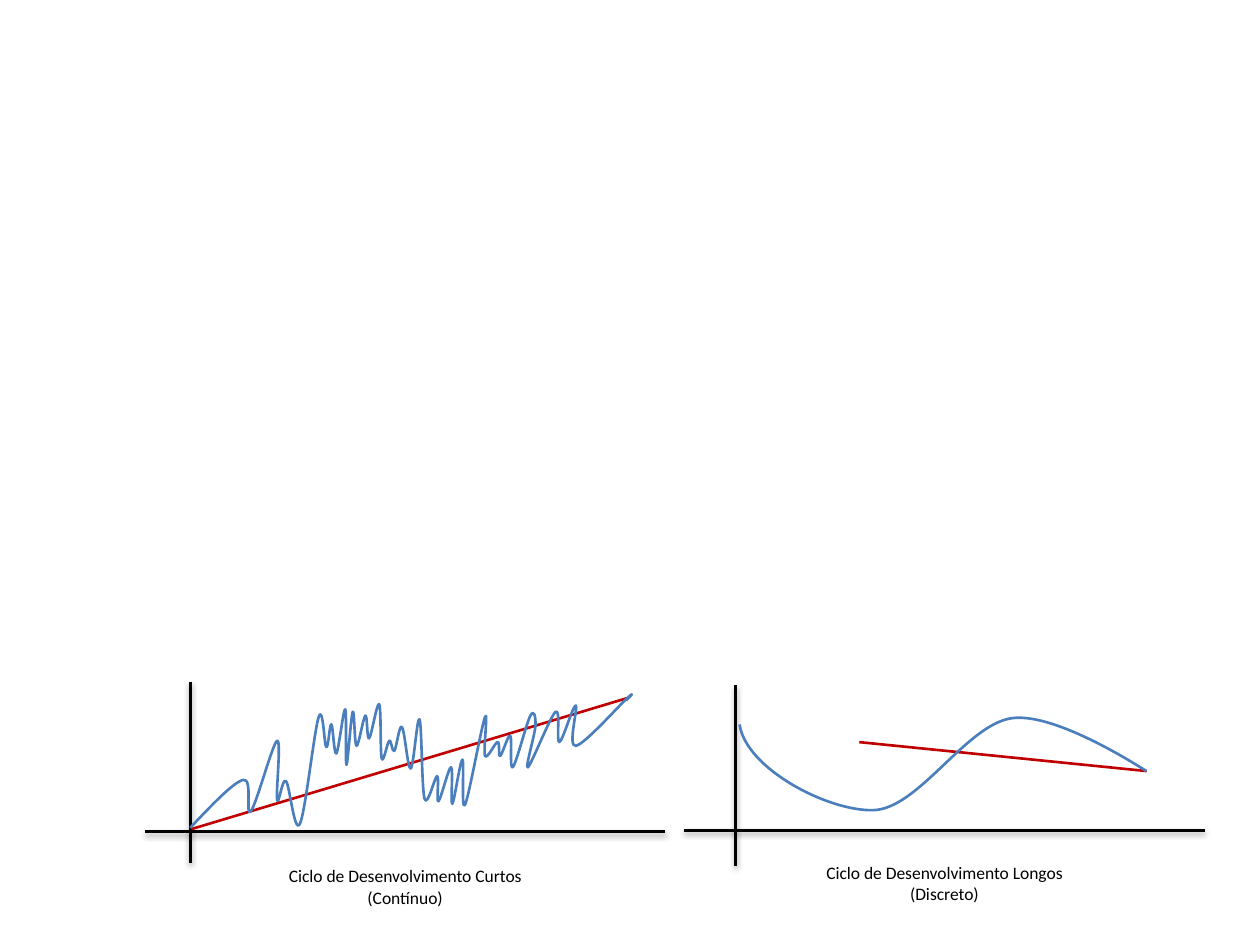
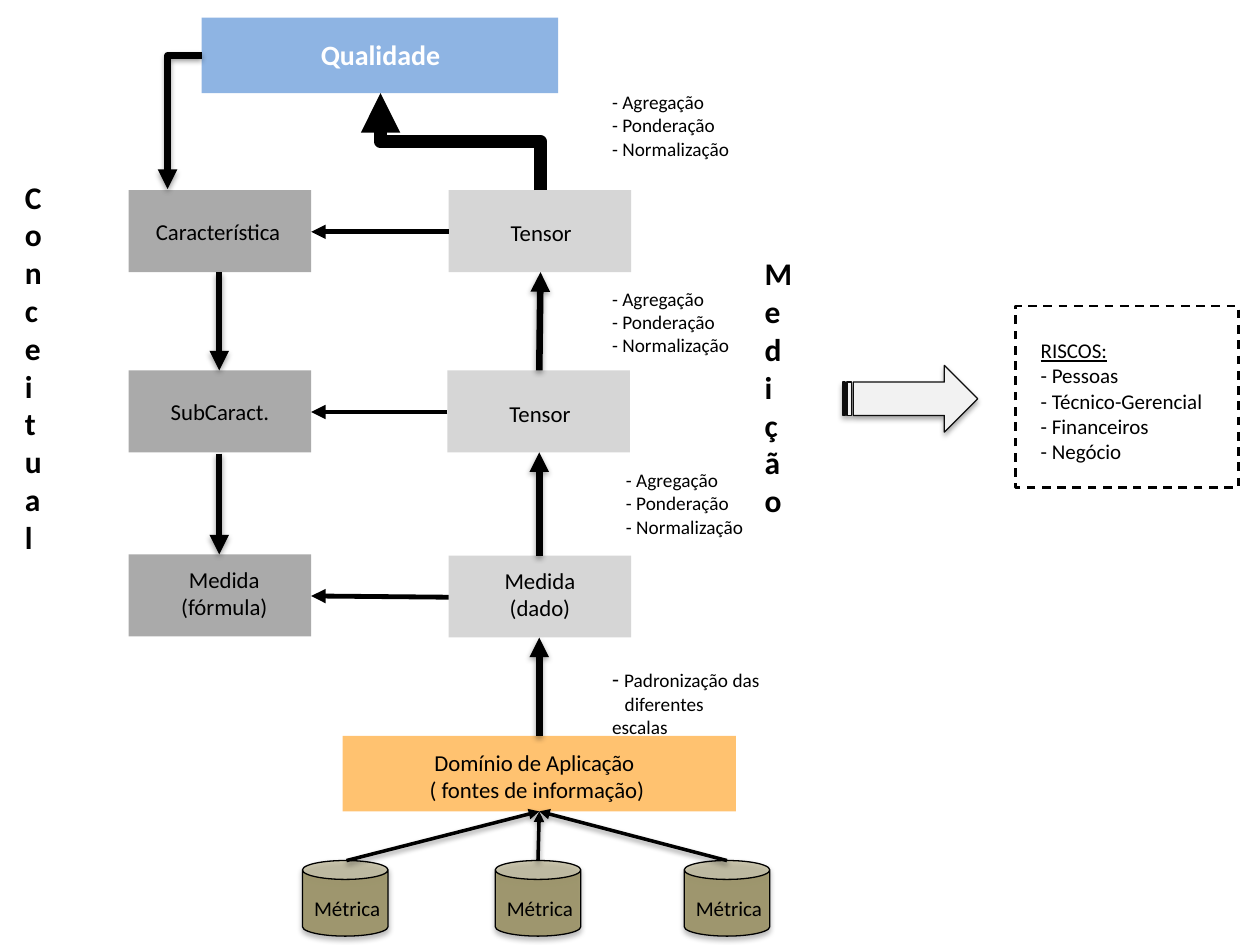
from lxml import etree
from pptx import Presentation
from pptx.dml.color import RGBColor
from pptx.enum.dml import MSO_LINE
from pptx.enum.shapes import MSO_CONNECTOR, MSO_SHAPE
from pptx.enum.text import MSO_ANCHOR, MSO_AUTO_SIZE, PP_ALIGN
from pptx.oxml.ns import qn
from pptx.util import Pt

SCALE = 9144  # EMU per px, 100 px to the inch
FONT = "Calibri"
LEFT, CENTER = PP_ALIGN.LEFT, PP_ALIGN.CENTER
STRAIGHT, ELBOW = MSO_CONNECTOR.STRAIGHT, MSO_CONNECTOR.ELBOW
RECTANGLE, CAN, STRIPED = MSO_SHAPE.RECTANGLE, MSO_SHAPE.CAN, MSO_SHAPE.STRIPED_RIGHT_ARROW
COLORS = {
    "black": "000000",
    "white": "FFFFFF",
    "trend": "C00000",
    "curve": "4B7EBC",
    "quality": "8EB4E3",
    "concept": "AAAAAA",
    "measure": "D6D6D6",
    "domain": "FF9300",
    "metric": "948A54",
    "arrow": "F2F2F2",
    "arrow_edge": "0D0D0D",
}
# Shadow: distance in EMU and opacity in thousandths of a percent
LINE_SHADOW = (20000, 38000)
SHAPE_SHADOW = (23000, 35000)


def add_text(page, area, lines, size, align=LEFT, color="black", bold=False, wrap=False, box=None):
    if box is None:
        box = page.shapes.add_textbox(*[value * SCALE for value in area])
    frame = box.text_frame
    frame.word_wrap = wrap
    frame.auto_size = MSO_AUTO_SIZE.SHAPE_TO_FIT_TEXT
    for number, line in enumerate(lines):
        para = frame.paragraphs[0] if number == 0 else frame.add_paragraph()
        para.alignment = align
        span = para.add_run()
        span.text = line
        span.font.color.rgb = RGBColor.from_string(COLORS[color])
        for name, value in {"name": FONT, "size": Pt(size), "bold": bold}.items():
            setattr(span.font, name, value)
    return box


def style(shape, width, line="black", fill=None, opacity=None, shadow=None, arrow=False):
    properties = shape._element.spPr
    if hasattr(shape, "fill"):
        if fill:
            shape.fill.solid()
            shape.fill.fore_color.rgb = RGBColor.from_string(COLORS[fill])
        else:
            shape.fill.background()
    if opacity:
        tint = properties.find(qn("a:solidFill"))[0]
        etree.SubElement(tint, qn("a:alpha"), val=str(opacity * 1000))
    if width:
        shape.line.width = Pt(width)
        shape.line.color.rgb = RGBColor.from_string(COLORS[line])
    else:
        shape.line.fill.background()
    if arrow:
        etree.SubElement(properties.find(qn("a:ln")), qn("a:tailEnd"), type="triangle")
    effects = etree.SubElement(properties, qn("a:effectLst"))
    if shadow:
        distance, strength = shadow
        outer = etree.SubElement(effects, qn("a:outerShdw"), blurRad="40000",
                                 dist=str(distance), dir="5400000", rotWithShape="0")
        shade = etree.SubElement(outer, qn("a:srgbClr"), val=COLORS["black"])
        etree.SubElement(shade, qn("a:alpha"), val=str(strength))


deck = Presentation()
deck.slide_width, deck.slide_height = 1000 * SCALE, 750 * SCALE
blank = deck.slide_layouts[6]

# Slide 1: short and long development cycles
page = deck.slides.add_slide(blank)
short_cycle = [
    (151, 657), (193, 619), (199, 644), (220, 588), (220, 635), (227, 620), (238, 654),
    (253, 569), (259, 593), (263, 575), (267, 598), (274, 563), (275, 607), (280, 565),
    (283, 592), (290, 568), (293, 586), (301, 559), (303, 602), (309, 588), (313, 596),
    (319, 577), (326, 610), (333, 571), (337, 634), (347, 616), (348, 636), (358, 609),
    (359, 638), (367, 603), (369, 639), (385, 569), (385, 600), (395, 589), (397, 600),
    (405, 584), (407, 609), (421, 568), (425, 576), (419, 609), (441, 565), (444, 589),
    (457, 560), (457, 592), (498, 554), (497, 556),
]
long_cycle = [(587, 575), (693, 643), (803, 570), (910, 612)]
# Axes, trend line, curve anchors, outer handles of the curve, caption
cycles = [
    ((115, 660, 528, 660), (151, 541, 151, 685), (152, 658, 498, 554),
     short_cycle, None, (207, 682, 229, 44), "Ciclo de Desenvolvimento Curtos (Contínuo)"),
    ((543, 659, 956, 659), (584, 544, 584, 687), (682, 589, 910, 612),
     long_cycle, ((592, 610), (911, 613)), (635, 679, 229, 44),
     "Ciclo de Desenvolvimento Longos (Discreto)"),
]
for x_axis, y_axis, trend, anchors, handles, caption_area, caption in cycles:
    group = page.shapes.add_group_shape()
    for ends, color, shadow in [(x_axis, "black", LINE_SHADOW), (y_axis, "black", LINE_SHADOW),
                                (trend, "trend", None)]:
        line = group.shapes.add_connector(STRAIGHT, *[value * SCALE for value in ends])
        style(line, 1.5, color, shadow=shadow)

    # Each inner handle lies a sixth of the way between the neighbouring anchors
    last = len(anchors) - 1
    slopes = [[0, 0]] + [[(after - before) / 6 for before, after in zip(anchors[i - 1], anchors[i + 1])]
                         for i in range(1, last)] + [[0, 0]]
    points = []
    for i in range(last):
        start, end = anchors[i], anchors[i + 1]
        leave = [value + slope for value, slope in zip(start, slopes[i])]
        arrive = [value - slope for value, slope in zip(end, slopes[i + 1])]
        if i == 0:
            leave = handles[0] if handles else [(a + b) / 2 for a, b in zip(start, arrive)]
        if i == last - 1:
            arrive = handles[1] if handles else [(a + b) / 2 for a, b in zip(end, leave)]
        points += [[value * SCALE for value in point] for point in (leave, arrive, end)]
    builder = group.shapes.build_freeform(*[value * SCALE for value in anchors[0]])
    builder.add_line_segments(points, close=False)
    curve = builder.convert_to_shape()

    # Join every three points into one cubic segment
    steps = list(curve._element.spPr.iter(qn("a:lnTo")))
    for first, second, third in zip(steps[::3], steps[1::3], steps[2::3]):
        cubic = etree.Element(qn("a:cubicBezTo"))
        first.addprevious(cubic)
        for step in (first, second, third):
            cubic.append(step[0])
            step.getparent().remove(step)
    style(curve, 1.5, "curve")
    add_text(group, caption_area, [caption], 10, CENTER, wrap=True)

# Slide 2: quality model
page = deck.slides.add_slide(blank)

# Boxes with their labels
boxes = [
    ((356, 441, 145, 65), "measure", None, (390, 445, 77, 54), ["Medida", "(dado)"]),
    ((272, 584, 312, 60), "domain", 56, (325, 589, 198, 54),
     ["Domínio de Aplicação", " ( fontes de informação)"]),
    ((102, 294, 145, 65), "concept", None, (125, 311, 99, 32), ["SubCaract."]),
    ((102, 440, 145, 65), "concept", None, (133, 444, 90, 54), ["Medida", "(fórmula)"]),
    ((102, 151, 145, 65), "concept", None, (113, 168, 120, 32), ["Característica"]),
    ((356, 151, 145, 65), "measure", None, (395, 169, 69, 32), ["Tensor"]),
    ((355, 294, 145, 65), "measure", None, (394, 312, 69, 32), ["Tensor"]),
    ((160, 14, 283, 60), "quality", None, (244, 25, 116, 37), ["Qualidade"]),
]
for area, fill, opacity, label_area, label in boxes:
    holder = page.shapes.add_group_shape() if label == ["Tensor"] else page
    box = holder.shapes.add_shape(RECTANGLE, *[value * SCALE for value in area])
    style(box, 0, fill=fill, opacity=opacity)
    top = fill == "quality"
    add_text(holder, label_area, label, 16 if top else 13, CENTER, "white" if top else "black", top)

# Metric cylinders
for left in (543, 240, 393):
    group = page.shapes.add_group_shape()
    can = group.shapes.add_shape(CAN, *[value * SCALE for value in (left, 683, 68, 60)])
    style(can, 0.75, fill="metric", opacity=75, shadow=SHAPE_SHADOW)
    add_text(group, (left - 1, 706, 73, 30), ["Métrica"], 12, CENTER)

# Straight arrows by width
arrows = {
    2.75: [(355, 327, 247, 327), (356, 474, 247, 473), (356, 184, 247, 184)],
    3.75: [(428, 584, 428, 506), (428, 441, 428, 359), (174, 360, 174, 440),
           (174, 216, 174, 294), (428, 294, 429, 216)],
    2: [(275, 683, 428, 644), (427, 683, 428, 644), (577, 683, 428, 644)],
}
for width, routes in arrows.items():
    for ends in routes:
        arrow = page.shapes.add_connector(STRAIGHT, *[value * SCALE for value in ends])
        style(arrow, width, shadow=None if width == 2.75 else LINE_SHADOW, arrow=True)

# Bent arrows, turned by an angle in degrees
for preset, ends, angle, width, shadow in [
        ("bentConnector2", (133, 150, 160, 44), 180, 3.75, LINE_SHADOW),
        ("bentConnector3", (327, 176, 404, 49), 270, 7.5, None)]:
    arrow = page.shapes.add_connector(ELBOW, *[value * SCALE for value in ends])
    properties = arrow._element.spPr
    properties.find(qn("a:xfrm")).set("rot", str(angle * 60000))
    properties.find(qn("a:prstGeom")).set("prst", preset)
    style(arrow, width, shadow=shadow, arrow=True)

# Notes beside the arrows
for left, top in [(476, 67), (476, 223), (487, 367)]:
    add_text(page, (left, top, 114, 66), ["- Agregação", "- Ponderação", "- Normalização"], 11)
note = add_text(page, (476, 523, 140, 50), ["- ", "\tdiferentes escalas"], 11)
first, second = note.text_frame.paragraphs
first.runs[0].font.size = Pt(13)
span = first.add_run()
span.text = "Padronização das"
span.font.color.rgb = RGBColor.from_string(COLORS["black"])
for name, value in {"name": FONT, "size": Pt(11)}.items():
    setattr(span.font, name, value)
tabs = etree.SubElement(second._p.get_or_add_pPr(), qn("a:tabLst"))
etree.SubElement(tabs, qn("a:tab"), pos=str(10 * SCALE), algn="l")

# Stacked side titles
for area, title in [((10, 136, 56, 369), "Conceitual"), ((597, 197, 56, 262), "Medição")]:
    box = add_text(page, area, [title], 18, bold=True)
    box.text_frame._txBody.bodyPr.set("vert", "wordArtVert")

# Arrow to the risks
arrow = page.shapes.add_shape(STRIPED, *[value * SCALE for value in (669, 290, 107, 53)])
style(arrow, 0.75, "arrow_edge", "arrow", shadow=SHAPE_SHADOW)

# Risks
risk_area = (806, 243, 177, 144)
risks = page.shapes.add_shape(RECTANGLE, *[value * SCALE for value in risk_area])
style(risks, 1.25)
risks.line.dash_style = MSO_LINE.DASH
add_text(page, risk_area, ["RISCOS:", "- Pessoas", "- Técnico-Gerencial", "- Financeiros", "- Negócio"],
         12, wrap=True, box=risks)
risks.text_frame.paragraphs[0].runs[0].font.underline = True
for name, value in {"margin_left": 20 * SCALE, "margin_top": 25 * SCALE,
                    "auto_size": MSO_AUTO_SIZE.NONE, "vertical_anchor": MSO_ANCHOR.TOP}.items():
    setattr(risks.text_frame, name, value)

deck.save("out.pptx")
